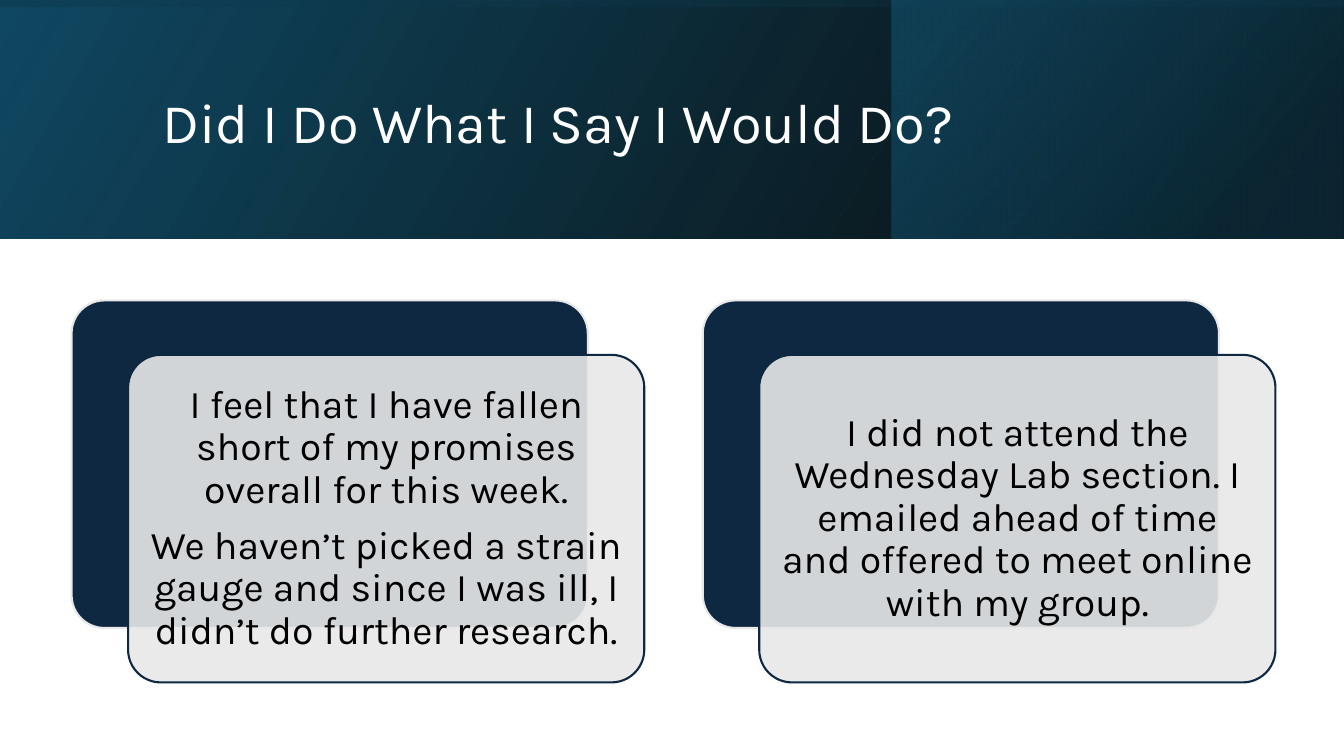
import pptx
import pptx.util
import pptx.oxml
import pptx.oxml.ns
import pptx.dml.color
import pptx.enum.shapes
import pptx.enum.text

Inches, Pt = pptx.util.Inches, pptx.util.Pt
RGBColor = pptx.dml.color.RGBColor
SHAPE = pptx.enum.shapes.MSO_SHAPE
ALIGN = pptx.enum.text.PP_ALIGN
MIDDLE = pptx.enum.text.MSO_ANCHOR.MIDDLE
qn = pptx.oxml.ns.qn

# Content
TITLE = "Did I Do What I Say I Would Do?"
CARDS = [
    ["I feel that I have fallen short of my promises overall for this week.",
     "We haven’t picked a strain gauge and since I was ill, I didn’t do further research."],
    ["I did not attend the Wednesday Lab section. I emailed ahead of time "
     "and offered to meet online with my group."],
]

# Style
FONT = "Karla"
WHITE = RGBColor(0xFF, 0xFF, 0xFF)
BLACK = RGBColor(0x00, 0x00, 0x00)
NAVY = RGBColor(0x0E, 0x28, 0x41)
PALE = RGBColor(0xE8, 0xE8, 0xE8)
TEAL = RGBColor(0x10, 0x48, 0x62)
DEEP_TEAL = RGBColor(0x0B, 0x30, 0x41)
BRIGHT_TEAL = RGBColor(0x15, 0x60, 0x82)

# Layout, in inches
SLIDE_W, SLIDE_H, BANNER_H = 13.33, 7.5, 2.37
CARD_W, CARD_H, CARD_PITCH = 5.12, 3.25, 6.26
BACK_LEFT, BACK_TOP = 0.71, 2.98
FRONT_DX, FRONT_DY = 0.56, 0.54
CARD_INSET = 0.12

# Banner layers: box, rotation, gradient angle, stops (position %, colour, opacity %)
OVERLAY_SHIFT = (SLIDE_W - BANNER_H) / 2
BANNER_LAYERS = [
    ((0, 0, SLIDE_W, BANNER_H), 0, 330, [(0, BLACK, 96), (100, TEAL, 100)]),
    ((8.84, 0, 4.48, BANNER_H), 0, 320, [(19, DEEP_TEAL, 68), (100, BRIGHT_TEAL, 48)]),
    ((OVERLAY_SHIFT, -OVERLAY_SHIFT, BANNER_H, SLIDE_W), 270, 350,
     [(23, TEAL, 16), (99, BLACK, 45)]),
]


def add_banner_layer(slide, box, rotation, angle, stops):
    layer = slide.shapes.add_shape(SHAPE.RECTANGLE, *map(Inches, box))
    layer.shadow.inherit = False
    layer.line.fill.background()
    layer.rotation = rotation
    properties = layer._element.spPr
    properties.find(qn("a:xfrm")).set("flipH", "1")
    stop_xml = "".join(
        f'<a:gs pos="{position * 1000}"><a:srgbClr val="{color}">'
        f'<a:alpha val="{opacity * 1000}"/></a:srgbClr></a:gs>'
        for position, color, opacity in stops)
    gradient = pptx.oxml.parse_xml(
        f'<a:gradFill {pptx.oxml.ns.nsdecls("a")} rotWithShape="1">'
        f'<a:gsLst>{stop_xml}</a:gsLst>'
        f'<a:lin ang="{angle * 60000}" scaled="0"/></a:gradFill>')
    properties.find(qn("a:prstGeom")).addnext(gradient)


def add_card(slide, left, top, fill, outline):
    card = slide.shapes.add_shape(SHAPE.ROUNDED_RECTANGLE, Inches(left), Inches(top),
                                  Inches(CARD_W), Inches(CARD_H))
    card.adjustments[0] = 0.1
    card.shadow.inherit = False
    card.fill.solid()
    card.fill.fore_color.rgb = fill
    card.line.color.rgb = outline
    card.line.width = Pt(1.5)
    return card


def set_opacity(shape, percent):
    color = shape._element.spPr.find(qn("a:solidFill")).find(qn("a:srgbClr"))
    color.append(pptx.oxml.parse_xml(
        f'<a:alpha {pptx.oxml.ns.nsdecls("a")} val="{percent * 1000}"/>'))


def write(frame, paragraphs, size, color, align, space_after=0):
    frame.text = "\n".join(paragraphs)
    frame.word_wrap = True
    frame.vertical_anchor = MIDDLE
    for paragraph in frame.paragraphs:
        paragraph.alignment = align
        paragraph.line_spacing = 0.9
        paragraph.space_after = Pt(space_after)
        for run in paragraph.runs:
            run.font.name = FONT
            run.font.size = Pt(size)
            run.font.color.rgb = color


def main():
    deck = pptx.Presentation()
    deck.slide_width, deck.slide_height = Inches(SLIDE_W), Inches(SLIDE_H)
    slide = deck.slides.add_slide(deck.slide_layouts[5])

    # Banner
    for layer in BANNER_LAYERS:
        add_banner_layer(slide, *layer)

    # Title, brought in front of the banner
    title = slide.shapes.title
    title.left, title.top = Inches(1.51), Inches(0.38)
    title.width, title.height = Inches(10.63), Inches(1.72)
    write(title.text_frame, [TITLE], 40, WHITE, ALIGN.LEFT)
    slide.shapes._spTree.append(title._element)

    # Cards: a navy back and a translucent front holding the text
    for index, paragraphs in enumerate(CARDS):
        left = BACK_LEFT + index * CARD_PITCH
        add_card(slide, left, BACK_TOP, NAVY, PALE)
        front = add_card(slide, left + FRONT_DX, BACK_TOP + FRONT_DY, PALE, NAVY)
        set_opacity(front, 90)
        frame = front.text_frame
        frame.margin_left = frame.margin_right = Inches(CARD_INSET)
        frame.margin_top = frame.margin_bottom = Inches(CARD_INSET)
        write(frame, paragraphs, 28, BLACK, ALIGN.CENTER, space_after=9.8)

    deck.save("out.pptx")


if __name__ == "__main__":
    main()
